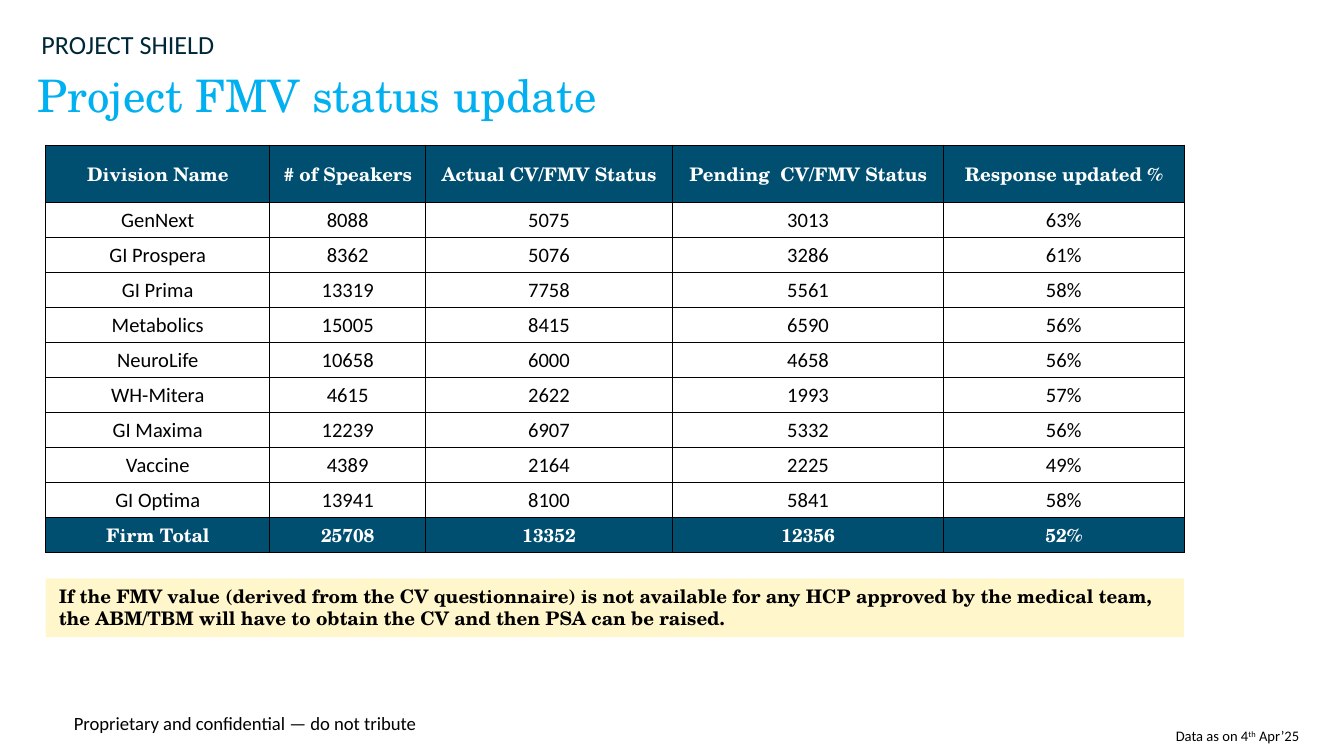
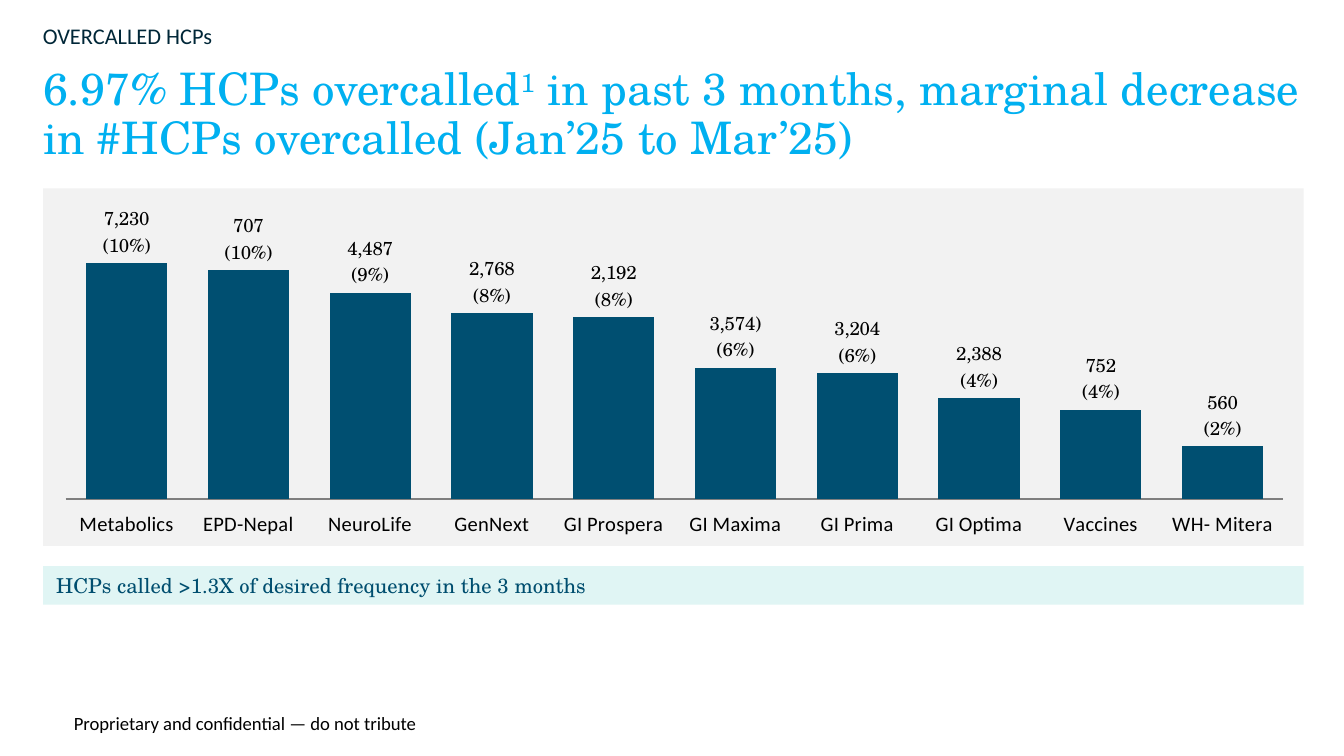
from lxml.etree import SubElement
from pptx import Presentation
from pptx.chart.data import CategoryChartData
from pptx.dml.color import RGBColor
from pptx.enum.chart import XL_CHART_TYPE, XL_LABEL_POSITION, XL_TICK_LABEL_POSITION, XL_TICK_MARK
from pptx.enum.shapes import MSO_SHAPE
from pptx.enum.text import MSO_ANCHOR, MSO_AUTO_SIZE, PP_ALIGN
from pptx.oxml import parse_xml
from pptx.oxml.ns import nsdecls, qn
from pptx.util import Inches, Pt

NAVY = RGBColor(0x00, 0x4F, 0x71)
TEAL = RGBColor(0x00, 0x4E, 0x6F)
SKY = RGBColor(0x00, 0xB0, 0xF0)
INK = RGBColor(0x00, 0x27, 0x38)
BLACK = RGBColor(0, 0, 0)
WHITE = RGBColor(0xFF, 0xFF, 0xFF)
CREAM = RGBColor(0xFF, 0xF6, 0xCC)
MINT = RGBColor(0xE0, 0xF5, 0xF4)
PALE = RGBColor(0xF2, 0xF2, 0xF2)
GREY = RGBColor(0x7F, 0x7F, 0x7F)
SANS, SERIF = "Calibri", "TeX Gyre Schola"
WIDE, HIGH = Inches(10), Inches(5.625)

HEADS = ["Division Name", "# of Speakers", "Actual CV/FMV Status",
         "Pending  CV/FMV Status", "Response updated %"]
ROWS = [
    ["GenNext", "8088", "5075", "3013", "63%"],
    ["GI Prospera", "8362", "5076", "3286", "61%"],
    ["GI Prima", "13319", "7758", "5561", "58%"],
    ["Metabolics", "15005", "8415", "6590", "56%"],
    ["NeuroLife", "10658", "6000", "4658", "56%"],
    ["WH-Mitera", "4615", "2622", "1993", "57%"],
    ["GI Maxima", "12239", "6907", "5332", "56%"],
    ["Vaccine", "4389", "2164", "2225", "49%"],
    ["GI Optima", "13941", "8100", "5841", "58%"],
]
TOTAL = ["Firm Total", "25708", "13352", "12356", "52%"]
BARS = [
    ("Metabolics", 10.49, "7,230\n(10%)"),
    ("EPD-Nepal", 10.19, "707\n(10%)"),
    ("NeuroLife", 9.18, "4,487\n(9%)"),
    ("GenNext", 8.28, "2,768\n(8%)"),
    ("GI Prospera", 8.09, "2,192\n(8%)"),
    ("GI Maxima", 5.84, "3,574)\n(6%)"),
    ("GI Prima", 5.59, "3,204\n(6%)"),
    ("GI Optima", 4.49, "2,388\n(4%)"),
    ("Vaccines", 3.97, "752\n(4%)"),
    ("WH- Mitera", 2.33, "560\n(2%)"),
]


def area(left, top, width, height):
    return (int(WIDE * left / 100), int(HIGH * top / 100),
            int(WIDE * width / 100), int(HIGH * height / 100))


def style(font, face, size, color, bold=False):
    font.name, font.size, font.bold = face, Pt(size), bold
    font.color.rgb = color


def write(frame, text, face, size, color, bold=False, align=PP_ALIGN.LEFT):
    para = frame.paragraphs[0]
    para.alignment = align
    for spot, part in enumerate(text.split("^")):
        run = para.add_run()
        run.text = part
        if spot % 2:
            run.font._element.set("baseline", "30000")
    style(para.font, face, size, color, bold)
    return para


def label(slide, box, text, size, color=BLACK, anchor=MSO_ANCHOR.TOP):
    frame = slide.shapes.add_textbox(*box).text_frame
    frame.word_wrap = True
    frame.vertical_anchor = anchor
    write(frame, text, SANS, size, color)
    return frame


def start(deck, title, box, tag, spot, size, pad):
    slide = deck.slides.add_slide(deck.slide_layouts[5])
    head = slide.shapes.title
    head.left, head.top, head.width, head.height = box
    frame = head.text_frame
    frame.word_wrap = True
    frame.auto_size = MSO_AUTO_SIZE.NONE
    frame.vertical_anchor = MSO_ANCHOR.TOP
    frame.margin_left = frame.margin_right = Inches(pad)
    frame.margin_top = frame.margin_bottom = Inches(pad / 2)
    para = write(frame, title, SERIF, 24, SKY)
    para.line_spacing = 0.9
    para.space_after = Pt(4.5)
    label(slide, spot, tag, size, INK)
    foot = label(slide, area(5.5, 93.7, 33.4, 4.3),
                 "Proprietary and confidential — do not tribute", 10, anchor=MSO_ANCHOR.BOTTOM)
    foot.margin_left = foot.margin_right = 0
    return slide


def band(slide, box, text, fill, size, color, bold=False):
    shape = slide.shapes.add_shape(MSO_SHAPE.RECTANGLE, *box)
    shape.shadow.inherit = False
    shape.fill.solid()
    shape.fill.fore_color.rgb = fill
    shape.line.fill.background()
    shape.text_frame.word_wrap = True
    shape.text_frame.vertical_anchor = MSO_ANCHOR.TOP
    write(shape.text_frame, text, SERIF, size, color, bold)


def edge(cell):
    props = cell._tc.get_or_add_tcPr()
    for side in ("lnL", "lnR", "lnT", "lnB"):
        line = SubElement(props, qn(f"a:{side}"), w=str(Pt(0.5)))
        fill = SubElement(line, qn("a:solidFill"))
        SubElement(fill, qn("a:srgbClr"), val=str(BLACK))


def grid(slide, box, shares, tall):
    data = [HEADS, *ROWS, TOTAL]
    table = slide.shapes.add_table(len(data), len(HEADS), *box).table
    table.horz_banding = False
    for col, share in zip(table.columns, shares):
        col.width = int(box[2] * share / sum(shares))
    low = (box[3] - tall) // (len(data) - 1)
    for num, (row, texts) in enumerate(zip(table.rows, data)):
        row.height = low if num else tall
        for cell, text in zip(row.cells, texts):
            cell.vertical_anchor = MSO_ANCHOR.MIDDLE
            cell.margin_left = cell.margin_right = cell.margin_top = Inches(0.01)
            cell.margin_bottom = 0
            edge(cell)
            if num in (0, len(data) - 1):
                cell.fill.solid()
                cell.fill.fore_color.rgb = NAVY
                look = (SERIF, 10, WHITE, True)
            else:
                cell.fill.background()
                look = (SANS, 11, BLACK)
            write(cell.text_frame, text, *look, align=PP_ALIGN.CENTER)


def place(chart, left, top, width, height):
    plot = chart._chartSpace.chart.plotArea
    for old in plot.findall(qn("c:layout")):
        plot.remove(old)
    sizes = "".join(f'<c:{key} val="{val}"/>' for key, val in
                    zip("xywh", (left, top, width, height)))
    plot.insert(0, parse_xml(
        f'<c:layout {nsdecls("c")}><c:manualLayout><c:layoutTarget val="inner"/>'
        f'<c:xMode val="edge"/><c:yMode val="edge"/>{sizes}</c:manualLayout></c:layout>'))


def back(chart, color):
    chart._chartSpace.chart.addnext(parse_xml(
        f'<c:spPr {nsdecls("c", "a")}><a:solidFill><a:srgbClr val="{color}"/></a:solidFill>'
        '<a:ln><a:noFill/></a:ln></c:spPr>'))


def columns(slide, box):
    names, vals, notes = zip(*BARS)
    data = CategoryChartData()
    data.categories = names
    data.add_series("Series 1", vals)
    chart = slide.shapes.add_chart(XL_CHART_TYPE.COLUMN_CLUSTERED, *box, data).chart
    chart.has_legend = chart.has_title = False
    style(chart.font, SANS, 10, BLACK)
    place(chart, 0.018, 0.115, 0.966, 0.754)
    back(chart, PALE)

    scale = chart.value_axis
    scale.minimum_scale, scale.maximum_scale = 0, 12
    scale.has_major_gridlines = scale.visible = False
    base = chart.category_axis
    base.major_tick_mark = base.minor_tick_mark = XL_TICK_MARK.NONE
    base.tick_label_position = XL_TICK_LABEL_POSITION.LOW
    base.format.line.color.rgb = GREY
    style(base.tick_labels.font, SANS, 11, BLACK)

    plot = chart.plots[0]
    plot.gap_width = 50
    plot.vary_by_categories = False
    bars = plot.series[0]
    bars.format.fill.solid()
    bars.format.fill.fore_color.rgb = NAVY
    bars.data_labels.show_value = True
    bars.data_labels.position = XL_LABEL_POSITION.OUTSIDE_END
    style(bars.data_labels.font, SERIF, 10, BLACK)
    for num, note in enumerate(notes):
        tip = bars.points[num].data_label
        tip.text_frame.text = note
        tip.position = XL_LABEL_POSITION.OUTSIDE_END
        for para in tip.text_frame.paragraphs:
            for run in para.runs:
                style(run.font, SERIF, 10, BLACK)


def status(deck):
    slide = start(deck, "Project FMV status update", area(2.1, 9.2, 95.5, 14),
                  "PROJECT SHIELD", area(2.1, 2.9, 24.2, 6), 14, 0.07)
    label(slide, area(86.5, 95.4, 12.5, 3.9), "Data as on 4^th^ Apr’25", 7.8,
          anchor=MSO_ANCHOR.MIDDLE)
    band(slide, area(3.4, 76.5, 84.7, 7.8),
         "If the FMV value (derived from the CV questionnaire) is not available for any HCP "
         "approved by the medical team, the ABM/TBM will have to obtain the CV and then PSA "
         "can be raised.", CREAM, 10, BLACK, True)
    grid(slide, area(3.4, 19.2, 84.7, 53.9), (1.67, 1.16, 1.84, 2.02, 1.79), int(HIGH * 0.076))


def calls(deck):
    slide = start(deck, "6.97% HCPs overcalled^1^ in past 3 months, marginal decrease "
                  "in #HCPs overcalled (Jan’25 to Mar’25)", area(2.2, 8, 95.5, 14.8),
                  "OVERCALLED HCPs", area(2.2, 2, 23.7, 5.3), 12, 0.1)
    band(slide, area(3.2, 74.9, 93.8, 5.1),
         "HCPs called >1.3X of desired frequency in the 3 months", MINT, 11, TEAL)
    columns(slide, area(3.2, 24.9, 93.8, 47.3))


def main():
    deck = Presentation()
    deck.slide_width, deck.slide_height = WIDE, HIGH
    status(deck)
    calls(deck)
    deck.save("out.pptx")


if __name__ == "__main__":
    main()
